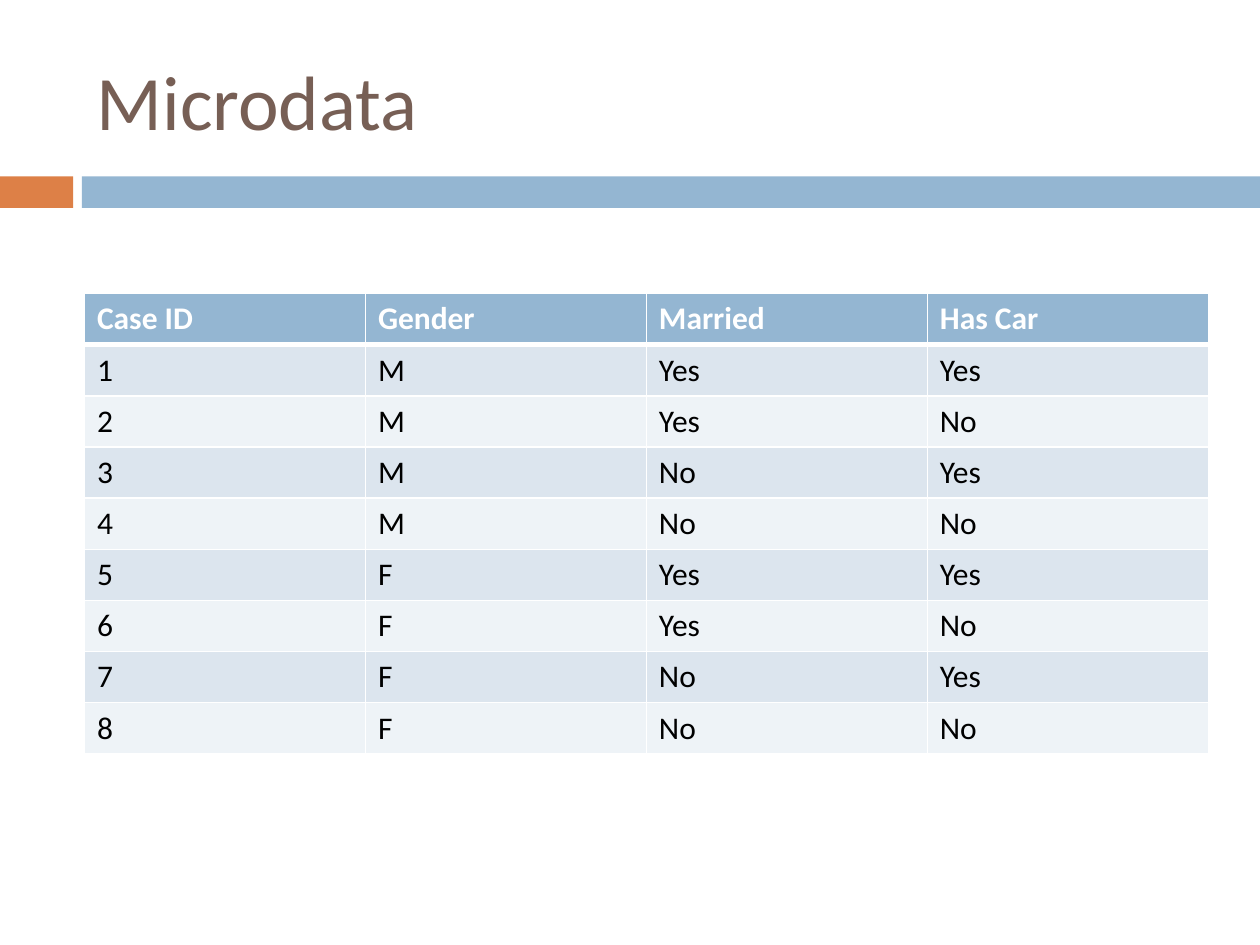
from dataclasses import dataclass
from itertools import product

from lxml import etree
from pptx import Presentation
from pptx.dml.color import RGBColor
from pptx.enum.shapes import MSO_SHAPE
from pptx.enum.text import MSO_ANCHOR
from pptx.oxml.ns import qn
from pptx.slide import Slide
from pptx.table import _Cell
from pptx.text.text import TextFrame
from pptx.util import Inches, Pt

RECT = MSO_SHAPE.RECTANGLE
MIDDLE = MSO_ANCHOR.MIDDLE
FONT = "Calibri"
WHITE, BLACK, BLUE, ORANGE, BROWN = "FFFFFF", "000000", "94B6D2", "DD8047", "775F55"
BANDS = ("DCE5EE", "EEF3F7")
HEADERS = ("Case ID", "Gender", "Married", "Has Car")
ANSWERS = ("Yes", "No")
CASES = [(str(i), *case) for i, case in enumerate(product("MF", ANSWERS, ANSWERS), 1)]
SLIDE_W, SLIDE_H = 10, 7.5
LEFT, CONTENT_W = 0.67, 8.92
TABLE_TOP, ROW_H = 2.33, 0.406
RULE_PT, HEADER_RULE_PT = 1, 3


@dataclass
class Box:
    left: float
    top: float
    width: float
    height: float

    def emu(self) -> list[int]:
        return [Inches(v) for v in (self.left, self.top, self.width, self.height)]


@dataclass
class Bar:
    box: Box
    color: str


@dataclass
class Style:
    size: int
    color: str
    bold: bool = False


BARS = (
    Bar(Box(0, 1.4, 0.58, 0.25), ORANGE),
    Bar(Box(0.65, 1.4, SLIDE_W - 0.65, 0.25), BLUE),
)


def rgb(color: str) -> RGBColor:
    return RGBColor.from_string(color)


def add_text(tf: TextFrame, text: str, style: Style) -> None:
    r = tf.paragraphs[0].add_run()
    r.text = text
    r.font.name = FONT
    r.font.size = Pt(style.size)
    r.font.bold = style.bold
    r.font.color.rgb = rgb(style.color)


def add_bar(s: Slide, bar: Bar) -> None:
    sp = s.shapes.add_shape(RECT, *bar.box.emu())
    sp.shadow.inherit = False
    sp.fill.solid()
    sp.fill.fore_color.rgb = rgb(bar.color)
    sp.line.fill.background()


def add_title(s: Slide, text: str, box: Box) -> None:
    tf = s.shapes.add_textbox(*box.emu()).text_frame
    tf.word_wrap = True
    tf.vertical_anchor = MIDDLE
    add_text(tf, text, Style(44, BROWN))


def set_borders(cell: _Cell, top: float, bottom: float) -> None:
    tcPr = cell._tc.get_or_add_tcPr()
    widths = {"a:lnL": RULE_PT, "a:lnR": RULE_PT, "a:lnT": top, "a:lnB": bottom}
    for tag, width in widths.items():
        ln = etree.SubElement(tcPr, qn(tag), w=str(Pt(width)))
        fill = etree.SubElement(ln, qn("a:solidFill"))
        etree.SubElement(fill, qn("a:srgbClr"), val=WHITE)


def add_case_table(s: Slide) -> None:
    rows = [HEADERS, *CASES]
    box = Box(LEFT, TABLE_TOP, CONTENT_W, ROW_H * len(rows))
    table = s.shapes.add_table(len(rows), len(HEADERS), *box.emu()).table
    for i, row in enumerate(rows):
        table.rows[i].height = Inches(ROW_H)
        fill = BANDS[(i - 1) % 2] if i else BLUE
        style = Style(18, BLACK) if i else Style(18, WHITE, True)
        top = HEADER_RULE_PT if i == 1 else RULE_PT
        bottom = RULE_PT if i else HEADER_RULE_PT
        for j, text in enumerate(row):
            cell = table.cell(i, j)
            set_borders(cell, top, bottom)
            cell.fill.solid()
            cell.fill.fore_color.rgb = rgb(fill)
            add_text(cell.text_frame, text, style)


def main() -> None:
    prs = Presentation()
    prs.slide_width, prs.slide_height = Inches(SLIDE_W), Inches(SLIDE_H)
    s = prs.slides.add_slide(prs.slide_layouts[6])
    for bar in BARS:
        add_bar(s, bar)
    add_title(s, "Microdata", Box(LEFT, 0.25, CONTENT_W, 1.08))
    add_case_table(s)
    prs.save("out.pptx")


if __name__ == "__main__":
    main()
